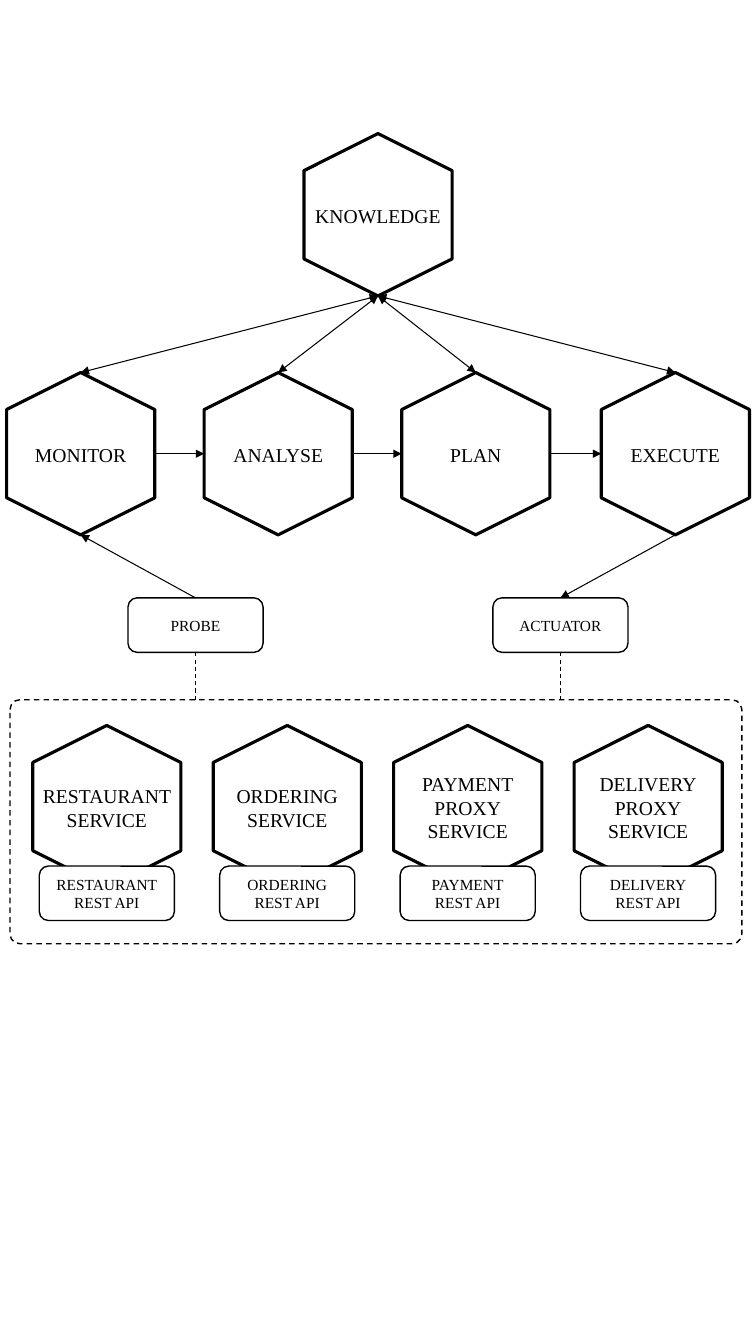
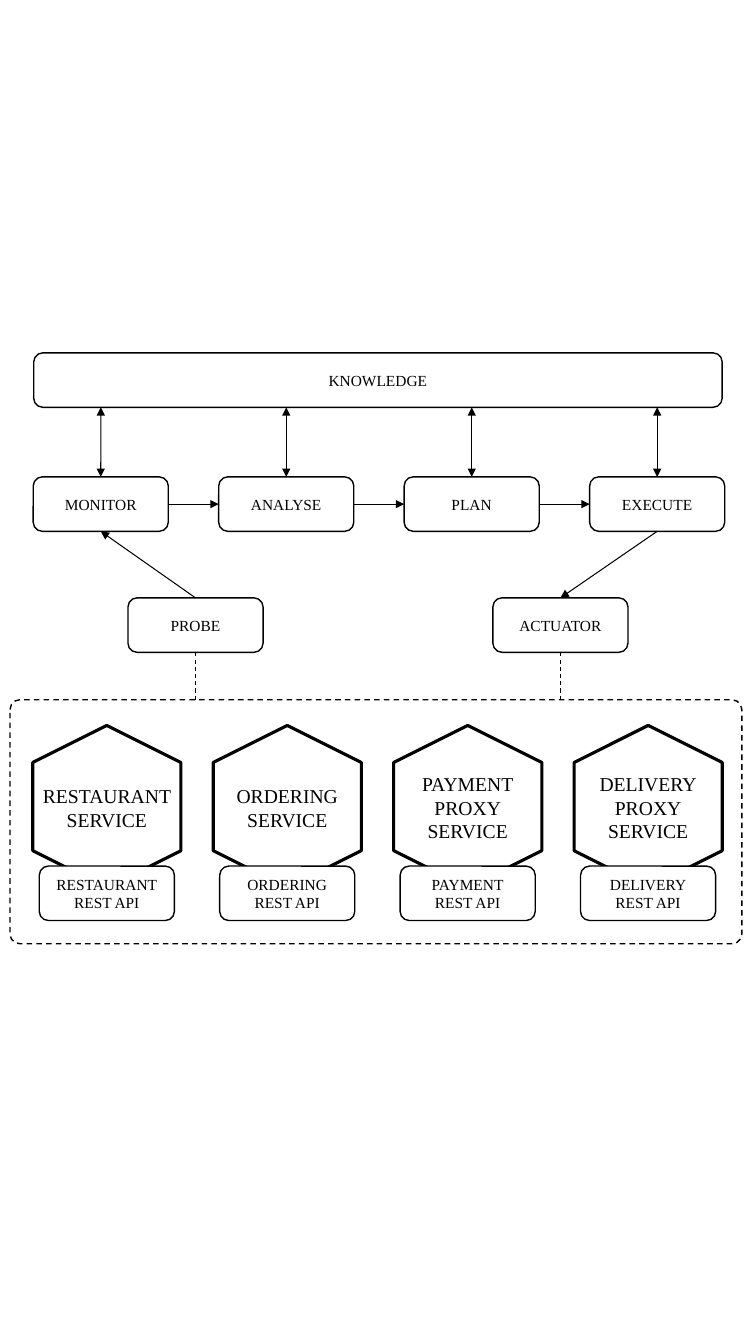
from dataclasses import dataclass
from itertools import pairwise
from typing import Any

from lxml.etree import SubElement
from pptx import Presentation
from pptx.dml.color import RGBColor
from pptx.enum.dml import MSO_LINE
from pptx.enum.shapes import MSO_CONNECTOR, MSO_SHAPE
from pptx.enum.text import MSO_ANCHOR, PP_ALIGN
from pptx.oxml.ns import qn
from pptx.util import Inches, Pt

BLACK = "000000"
WHITE = "FFFFFF"
FONT = "Times New Roman"

BOX_WIDTH, BOX_HEIGHT = 1.34, 0.54
HEXAGON_WIDTH, HEXAGON_HEIGHT = 1.47, 1.61
LABEL_WIDTH = 2.01
TOP, LEFT, BOTTOM, RIGHT = range(4)

STAGES = ["MONITOR", "ANALYSE", "PLAN", "EXECUTE"]
SERVICES = [
    ("RESTAURANT SERVICE", "RESTAURANT\nREST API"),
    ("ORDERING SERVICE", "ORDERING\nREST API"),
    ("PAYMENT\nPROXY\nSERVICE", "PAYMENT\nREST API"),
    ("DELIVERY\nPROXY\nSERVICE", "DELIVERY\nREST API"),
]


@dataclass
class End:
    """One end of a link, in inches, with the shape it is joined to, if any."""
    x: float
    y: float
    shape: Any = None
    site: int = 0


@dataclass
class Node:
    """A drawn box or hexagon, by its centre and visible size in inches."""
    x: float
    y: float
    width: float
    height: float
    shape: Any = None

    def side(self, site):
        across, down = {TOP: (0, -0.5), LEFT: (-0.5, 0),
                        BOTTOM: (0, 0.5), RIGHT: (0.5, 0)}[site]
        return End(self.x + across * self.width, self.y + down * self.height,
                   self.shape, site)


def color(value):
    return RGBColor.from_string(value)


def centred_box(x, y, width, height):
    return [Inches(value) for value in (x - width / 2, y - height / 2, width, height)]


def format_line(line, width, dashed=False):
    line.color.rgb = color(BLACK)
    line.width = Pt(width)
    if dashed:
        line.dash_style = MSO_LINE.DASH


def format_shape(shape, line_width, dashed=False, filled=True):
    shape.shadow.inherit = False
    if filled:
        shape.fill.solid()
        shape.fill.fore_color.rgb = color(WHITE)
    else:
        shape.fill.background()
    format_line(shape.line, line_width, dashed)


def set_text(shape, text, size):
    frame = shape.text_frame
    frame.word_wrap = True
    frame.vertical_anchor = MSO_ANCHOR.MIDDLE
    frame.text = text
    for paragraph in frame.paragraphs:
        paragraph.alignment = PP_ALIGN.CENTER
        paragraph.font.name = FONT
        paragraph.font.size = Pt(size)
        paragraph.font.color.rgb = color(BLACK)


def add_box(slide, x, y, text, width=BOX_WIDTH):
    shape = slide.shapes.add_shape(MSO_SHAPE.ROUNDED_RECTANGLE,
                                   *centred_box(x, y, width, BOX_HEIGHT))
    format_shape(shape, 1)
    set_text(shape, text, 11)
    return Node(x, y, width, BOX_HEIGHT, shape)


def add_hexagon(slide, x, y, text):
    """Group an upright hexagon with a label that has one word a line."""
    group = slide.shapes.add_group_shape()
    hexagon = group.shapes.add_shape(MSO_SHAPE.HEXAGON,
                                     *centred_box(x, y, HEXAGON_HEIGHT, HEXAGON_WIDTH))
    hexagon.rotation = 90
    format_shape(hexagon, 2.25)
    label_height = 0.1 + 0.235 * len(text.split())
    label = group.shapes.add_textbox(*centred_box(x, y + 0.01, LABEL_WIDTH, label_height))
    set_text(label, text, 14)
    return Node(x, y, HEXAGON_WIDTH, HEXAGON_HEIGHT)


def add_link(slide, begin, end, arrows=("tailEnd",), dashed=False):
    connector = slide.shapes.add_connector(
        MSO_CONNECTOR.STRAIGHT,
        *[Inches(value) for value in (begin.x, begin.y, end.x, end.y)])
    if begin.shape is not None:
        connector.begin_connect(begin.shape, begin.site)
    if end.shape is not None:
        connector.end_connect(end.shape, end.site)
    format_line(connector.line, 0.75, dashed)
    properties = connector._element.spPr
    for arrow in arrows:
        SubElement(properties.find(qn("a:ln")), qn("a:" + arrow), type="triangle")
    SubElement(properties, qn("a:effectLst"))


def add_services(slide, left, top):
    """Draw the dashed frame with the four services and their interfaces."""
    for index, (service, _) in enumerate(SERVICES):
        add_hexagon(slide, left + 0.96 + 1.79 * index, top + 1.06, service)
    frame = slide.shapes.add_shape(MSO_SHAPE.ROUNDED_RECTANGLE, Inches(left), Inches(top),
                                   Inches(7.26), Inches(2.42))
    frame.adjustments[0] = 0.04
    format_shape(frame, 1, dashed=True, filled=False)
    for index, (_, interface) in enumerate(SERVICES):
        add_box(slide, left + 0.96 + 1.79 * index, top + 1.92, interface)


def add_managed_system(slide, monitor, execute):
    """Draw the services, and the probe and actuator that tie them to the loop."""
    frame_top = 6.94
    add_services(slide, 0.1, frame_top)
    probe = add_box(slide, 1.94, 6.2, "PROBE")
    actuator = add_box(slide, 5.56, 6.2, "ACTUATOR")
    for node in (probe, actuator):
        add_link(slide, node.side(BOTTOM), End(node.x, frame_top), arrows=(), dashed=True)
    add_link(slide, probe.side(TOP), monitor.side(BOTTOM))
    add_link(slide, execute.side(BOTTOM), actuator.side(TOP))


def add_loop_links(slide, stages, knowledge_ends):
    for stage, following in pairwise(stages):
        add_link(slide, stage.side(RIGHT), following.side(LEFT))
    for stage, end in zip(stages, knowledge_ends):
        add_link(slide, end, stage.side(TOP), arrows=("headEnd", "tailEnd"))


def add_hexagon_loop_slide(presentation):
    slide = presentation.slides.add_slide(presentation.slide_layouts[6])
    centres = (0.8, 2.76, 4.72, 6.7)
    stages = [add_hexagon(slide, x, 4.5, text) for x, text in zip(centres, STAGES)]
    knowledge = add_hexagon(slide, 3.75, 2.13, "KNOWLEDGE")
    add_loop_links(slide, stages, [knowledge.side(BOTTOM)] * len(stages))
    add_managed_system(slide, stages[0], stages[-1])


def add_box_loop_slide(presentation):
    slide = presentation.slides.add_slide(presentation.slide_layouts[6])
    knowledge = add_box(slide, 3.75, 3.77, "KNOWLEDGE", width=6.83)
    stages = [add_box(slide, 1 + 1.84 * index, 5, text)
              for index, text in enumerate(STAGES)]
    bar_bottom = knowledge.side(BOTTOM).y
    add_loop_links(slide, stages, [End(stage.x, bar_bottom) for stage in stages])
    add_managed_system(slide, stages[0], stages[-1])


def main():
    presentation = Presentation()
    presentation.slide_width = Inches(7.5)
    presentation.slide_height = Inches(13.33)
    add_hexagon_loop_slide(presentation)
    add_box_loop_slide(presentation)
    presentation.save("out.pptx")


if __name__ == "__main__":
    main()
